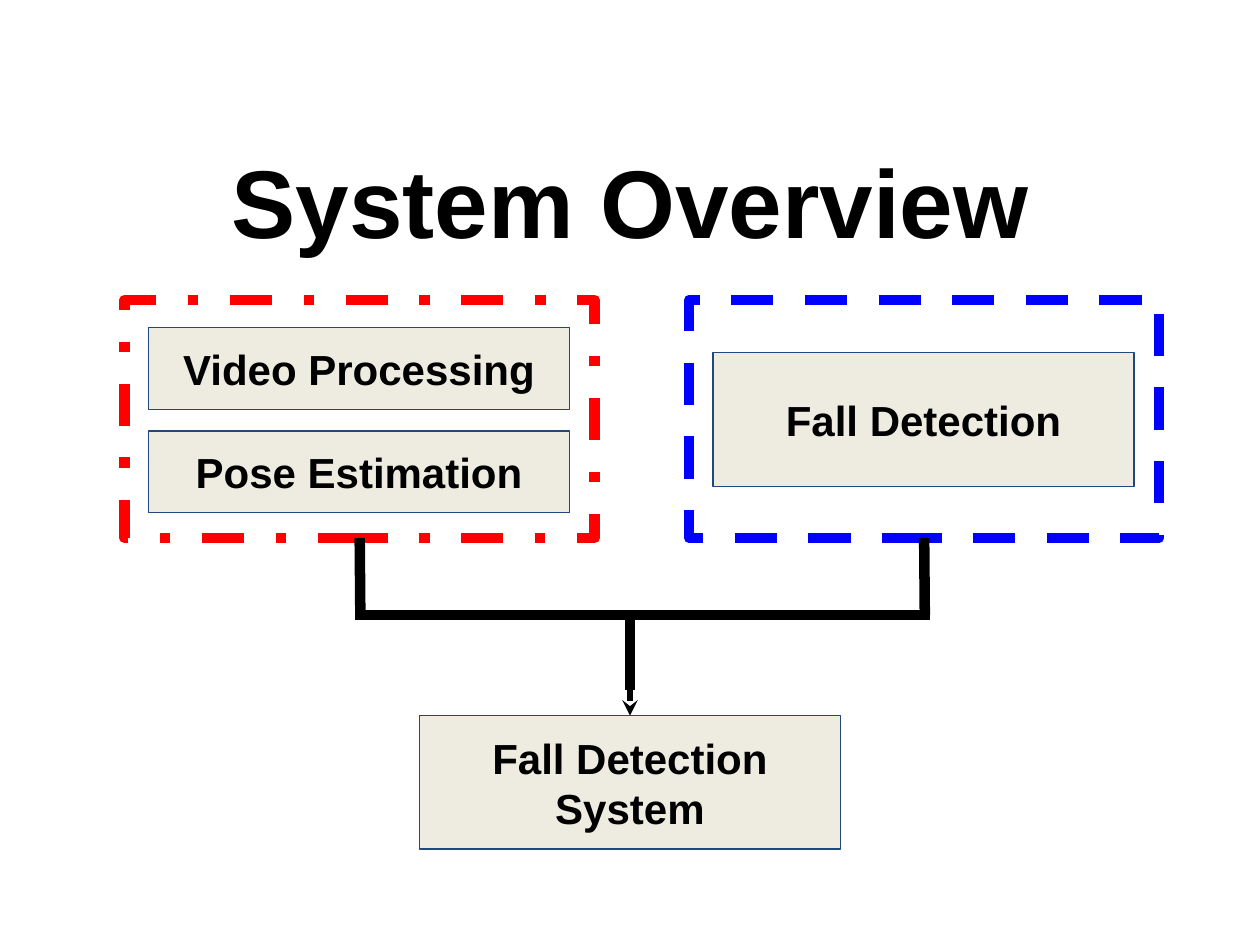
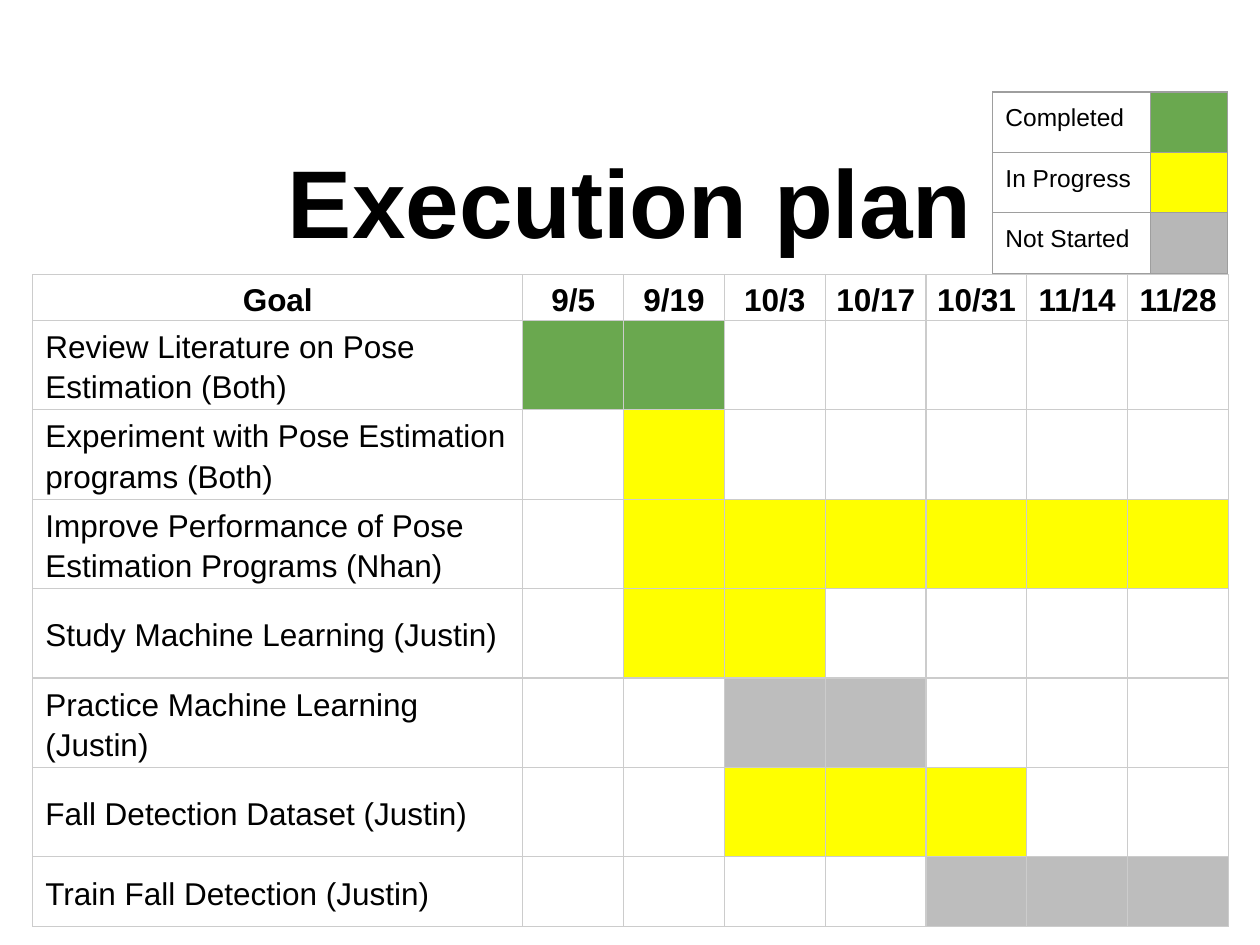
"""Builds the system overview and the execution plan of a fall detection project."""
from lxml import etree
from pptx import Presentation
from pptx.dml.color import RGBColor
from pptx.enum.dml import MSO_LINE
from pptx.enum.shapes import MSO_CONNECTOR, MSO_SHAPE
from pptx.enum.text import MSO_ANCHOR, MSO_AUTO_SIZE, PP_ALIGN
from pptx.oxml.ns import qn
from pptx.util import Inches, Pt

FONT = "Arial"
BLACK = RGBColor(0x00, 0x00, 0x00)
WHITE = RGBColor(0xFF, 0xFF, 0xFF)
RED = RGBColor(0xFF, 0x00, 0x00)
BLUE = RGBColor(0x00, 0x00, 0xFF)
NAVY = RGBColor(0x1F, 0x49, 0x7D)
CREAM = RGBColor(0xEE, 0xEC, 0xE1)
GREEN = RGBColor(0x6A, 0xA8, 0x4F)
YELLOW = RGBColor(0xFF, 0xFF, 0x00)
GRAY = RGBColor(0xBD, 0xBD, 0xBD)
LEGEND_GRAY = RGBColor(0xB7, 0xB7, 0xB7)
PLAN_BORDER = RGBColor(0xCC, 0xCC, 0xCC)
LEGEND_BORDER = RGBColor(0x9E, 0x9E, 0x9E)

RECTANGLE = MSO_SHAPE.RECTANGLE
STRAIGHT = MSO_CONNECTOR.STRAIGHT
DASH, DASH_DOT = MSO_LINE.DASH, MSO_LINE.DASH_DOT
LEFT, CENTER = PP_ALIGN.LEFT, PP_ALIGN.CENTER
TOP, MIDDLE, BOTTOM = MSO_ANCHOR.TOP, MSO_ANCHOR.MIDDLE, MSO_ANCHOR.BOTTOM
NO_AUTOFIT = MSO_AUTO_SIZE.NONE
TOP_SIDE, BOTTOM_SIDE = 0, 2
TITLE_ONLY = 5

BOX_WIDTH = 3.34
BAR_Y = 4.88
DATES = ["9/5", "9/19", "10/3", "10/17", "10/31", "11/14", "11/28"]
GOALS = [
    ("Review Literature on Pose Estimation (Both)", 1, 2, GREEN),
    ("Experiment with Pose Estimation programs (Both)", 2, 2, YELLOW),
    ("Improve Performance of Pose Estimation Programs (Nhan)", 2, 7, YELLOW),
    ("Study Machine Learning (Justin)", 2, 3, YELLOW),
    ("Practice Machine Learning (Justin)", 3, 4, GRAY),
    ("Fall Detection Dataset (Justin)", 3, 5, YELLOW),
    ("Train Fall Detection (Justin)", 5, 7, GRAY),
]
LEGEND = [("Completed", GREEN), ("In Progress", YELLOW), ("Not Started", LEGEND_GRAY)]


class Painter:
    """Holds the deck, its style and the current page."""

    def __init__(self):
        self.deck = Presentation()
        self.deck.slide_width, self.deck.slide_height = Inches(10), Inches(7.5)
        self.page = None

    def add_page(self, title):
        """Starts a page with its title."""
        self.page = self.deck.slides.add_slide(self.deck.slide_layouts[TITLE_ONLY])
        box = self.page.shapes.title
        box.left, box.top, box.width, box.height = map(Inches, (0.5, 1.15, 9, 0.88))
        frame = box.text_frame
        frame.text = title
        frame.auto_size = NO_AUTOFIT
        frame.vertical_anchor = MIDDLE
        self.style_text(frame, 55, bold=True, align=CENTER)

    def style_text(self, frame, size, bold=False, align=LEFT, spacing=None):
        """Formats every paragraph and run of a text frame."""
        for para in frame.paragraphs:
            para.alignment = align
            para.line_spacing = spacing
            for span in para.runs:
                span.font.name, span.font.size = FONT, Pt(size)
                span.font.bold, span.font.color.rgb = bold, BLACK

    def add_rectangle(self, left, top, width, height, color, weight):
        """Adds an outlined rectangle without fill."""
        box = self.page.shapes.add_shape(RECTANGLE, *map(Inches, (left, top, width, height)))
        box.shadow.inherit = False
        box.fill.background()
        box.line.color.rgb, box.line.width = color, Pt(weight)
        return box

    def add_frame(self, left, color, dash):
        """Adds a dashed frame around a group of modules."""
        frame = self.add_rectangle(left, 2.38, 3.73, 1.89, color, 6)
        frame.line.dash_style = dash
        return frame

    def add_module(self, left, top, height, text):
        """Adds a labelled module box."""
        box = self.add_rectangle(left, top, BOX_WIDTH, height, NAVY, 0.75)
        box.fill.solid()
        box.fill.fore_color.rgb = CREAM
        frame = box.text_frame
        frame.text = text
        frame.word_wrap = True
        frame.vertical_anchor = MIDDLE
        frame.margin_top = frame.margin_bottom = Inches(0.1)
        self.style_text(frame, 24, bold=True, align=CENTER)
        return box

    def add_line(self, start, end, weight=6, source=None, target=None, arrow=False):
        """Adds a black line, joined to boxes where given."""
        line = self.page.shapes.add_connector(STRAIGHT, *map(Inches, (*start, *end)))
        line.line.color.rgb, line.line.width = BLACK, Pt(weight)
        if source:
            line.begin_connect(source, BOTTOM_SIDE)
        if target:
            line.end_connect(target, TOP_SIDE)
        properties = line._element.spPr
        if arrow:
            etree.SubElement(properties.find(qn("a:ln")), qn("a:tailEnd"), type="stealth")
        etree.SubElement(properties, qn("a:effectLst"))

    def add_grid(self, left, top, widths, heights, border):
        """Adds a plain white table with thin borders."""
        shape = self.page.shapes.add_table(
            len(heights), len(widths), Inches(left), Inches(top),
            Inches(sum(widths)), Inches(sum(heights)))
        table = shape.table
        table.first_row = table.horz_banding = False
        for column, width in zip(table.columns, widths):
            column.width = Inches(width)
        for row, height in zip(table.rows, heights):
            row.height = Inches(height)
        for cell in table.iter_cells():
            self.add_borders(cell, border)
            self.fill_cell(cell, WHITE)
        return table

    def add_borders(self, cell, color):
        """Draws the four borders of a cell."""
        properties = cell._tc.get_or_add_tcPr()
        for side in ("a:lnL", "a:lnR", "a:lnT", "a:lnB"):
            edge = etree.SubElement(properties, qn(side), w=str(Pt(0.75)))
            fill = etree.SubElement(edge, qn("a:solidFill"))
            etree.SubElement(fill, qn("a:srgbClr"), val=str(color))

    def fill_cell(self, cell, color):
        """Fills a cell with one colour."""
        cell.fill.solid()
        cell.fill.fore_color.rgb = color

    def write_cell(self, cell, text, size, side, edge, anchor, **style):
        """Writes a cell with its side and edge margins."""
        cell.text = text
        cell.vertical_anchor = anchor
        cell.margin_left = cell.margin_right = Inches(side)
        cell.margin_top = cell.margin_bottom = Inches(edge)
        self.style_text(cell.text_frame, size, **style)


def build_overview(painter):
    """Draws the modules that feed the fall detection system."""
    painter.add_page("System Overview")
    detection_frame = painter.add_frame(5.47, BLUE, DASH)
    pose_frame = painter.add_frame(0.99, RED, DASH_DOT)
    painter.add_module(1.18, 2.6, 0.65, "Video Processing")
    painter.add_module(1.18, 3.42, 0.65, "Pose Estimation")
    painter.add_module(5.66, 2.8, 1.06, "Fall Detection")
    system = painter.add_module(3.33, 5.68, 1.06, "Fall Detection\nSystem")
    painter.add_line((2.82, BAR_Y), (7.38, BAR_Y))
    painter.add_line((2.86, 4.27), (2.86, BAR_Y), source=pose_frame)
    painter.add_line((7.34, 4.27), (7.34, BAR_Y), source=detection_frame)
    painter.add_line((5, 4.99), (5, 5.68), weight=3, target=system, arrow=True)
    painter.add_line((5, BAR_Y), (5, 5.48))


def build_plan(painter):
    """Draws the schedule of goals and its legend."""
    painter.add_page("Execution plan")
    widths = [3.89] + [0.8] * len(DATES)
    heights = [0.36] + [0.71] * (len(GOALS) - 1) + [0.55]
    plan = painter.add_grid(0.26, 2.18, widths, heights, PLAN_BORDER)
    for column, heading in enumerate(["Goal"] + DATES):
        painter.write_cell(plan.cell(0, column), heading, 18, 0.03, 0.02, BOTTOM,
                           bold=True, align=CENTER, spacing=1.15 if column else None)
    for row, (goal, first, last, color) in enumerate(GOALS, 1):
        painter.write_cell(plan.cell(row, 0), goal, 18, 0.1, 0.02, MIDDLE, spacing=1.15)
        for column in range(first, last + 1):
            painter.fill_cell(plan.cell(row, column), color)

    legend = painter.add_grid(7.88, 0.73, [1.25, 0.61], [0.48] * len(LEGEND), LEGEND_BORDER)
    for row, (status, color) in enumerate(LEGEND):
        painter.write_cell(legend.cell(row, 0), status, 14, 0.1, 0.1, TOP)
        painter.fill_cell(legend.cell(row, 1), color)


def main():
    """Builds both pages and saves the deck."""
    painter = Painter()
    build_overview(painter)
    build_plan(painter)
    painter.deck.save("out.pptx")


if __name__ == "__main__":
    main()
